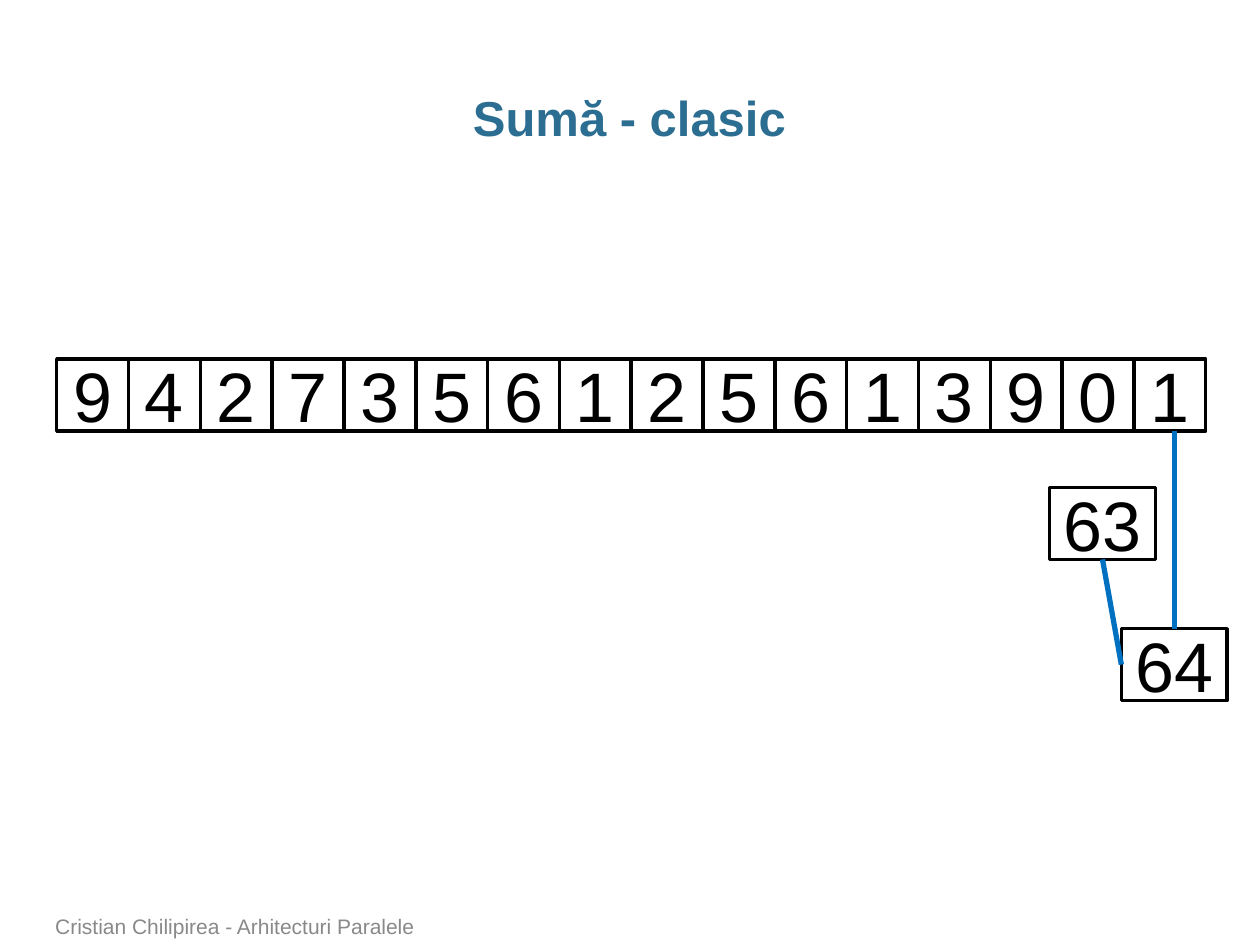
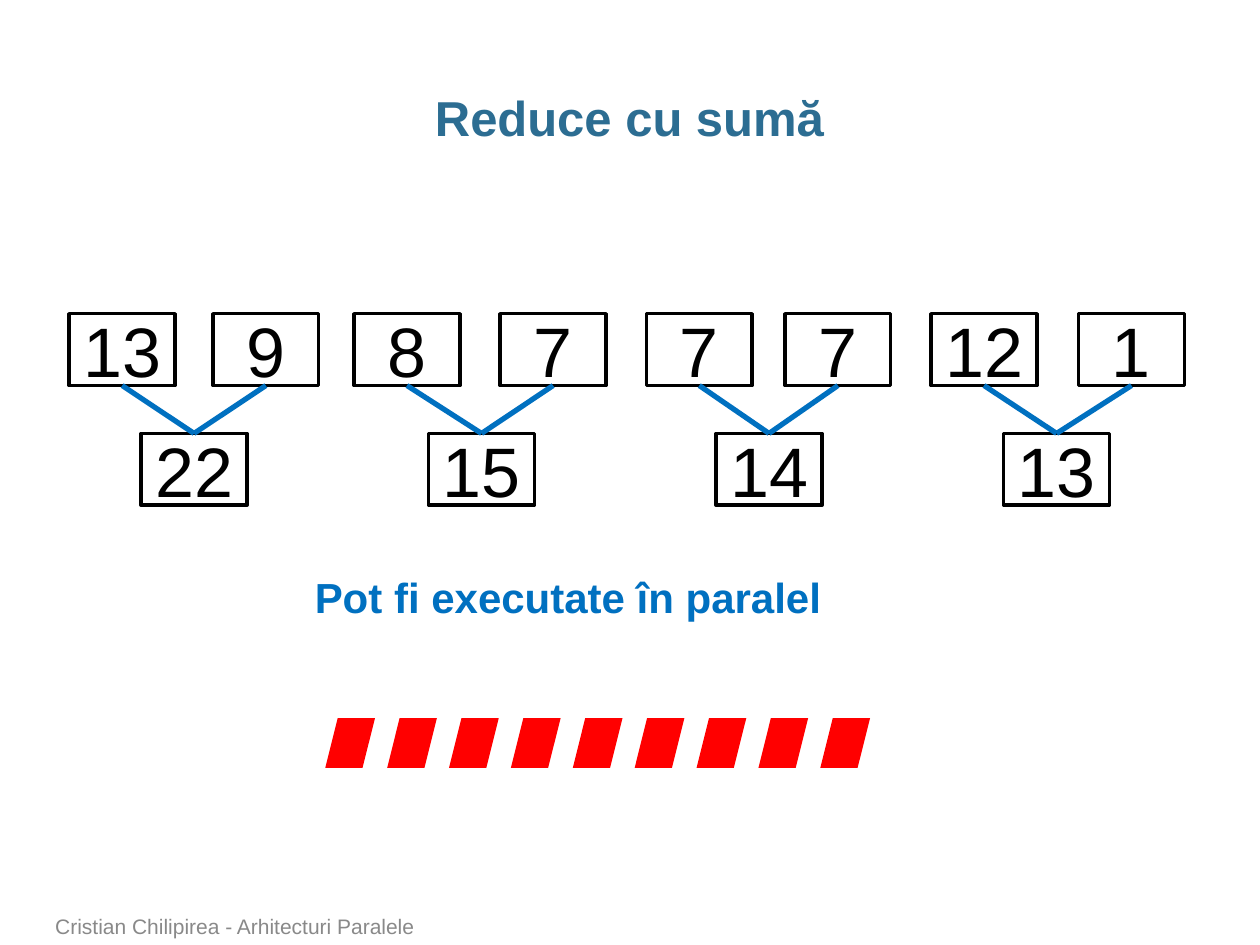
from pptx import Presentation
from pptx.dml.color import RGBColor
from pptx.enum.shapes import MSO_CONNECTOR, MSO_SHAPE
from pptx.enum.text import MSO_ANCHOR, MSO_AUTO_SIZE, PP_ALIGN
from pptx.oxml.ns import qn
from pptx.util import Pt
from lxml import etree

RECT, SLANT = MSO_SHAPE.RECTANGLE, MSO_SHAPE.PARALLELOGRAM
LINE = MSO_CONNECTOR.STRAIGHT
TOP, MID, LOW = MSO_ANCHOR.TOP, MSO_ANCHOR.MIDDLE, MSO_ANCHOR.BOTTOM
CENTER = PP_ALIGN.CENTER
FIXED = MSO_AUTO_SIZE.NONE

BLACK = RGBColor(0x00, 0x00, 0x00)
TEAL = RGBColor(0x2C, 0x6D, 0x92)
BLUE = RGBColor(0x00, 0x70, 0xC0)
GRAY = RGBColor(0x89, 0x89, 0x89)
RED = RGBColor(0xFF, 0x00, 0x00)

FONT = "Arial"
SIDE = 41.04
WIDE = 60.48


def add_box(slide, left, top, width, text):
    box = slide.shapes.add_shape(RECT, Pt(left), Pt(top), Pt(width), Pt(SIDE))
    box.shadow.inherit = False
    box.fill.background()
    box.line.color.rgb = BLACK
    box.line.width = Pt(2)
    frame = box.text_frame
    frame.vertical_anchor = MID
    par = frame.paragraphs[0]
    par.text = text
    par.alignment = CENTER
    par.font.name = FONT
    par.font.size = Pt(40)
    par.font.color.rgb = BLACK
    return box


def add_link(slide, start, end, side, x=0, y=0):
    link = slide.shapes.add_connector(LINE, Pt(x), Pt(y), Pt(x), Pt(y))
    if start is not None:
        link.begin_connect(start, 2)
    link.end_connect(end, side)
    link.line.color.rgb = BLUE
    link.line.width = Pt(3)
    etree.SubElement(link._element.spPr, qn("a:effectLst"))


deck = Presentation()
deck.slide_width, deck.slide_height = Pt(720), Pt(540)

slides = []
for name in ("Sumă - clasic", "Reduce cu sumă"):
    slide = deck.slides.add_slide(deck.slide_layouts[5])
    slides.append(slide)
    title = slide.shapes.title
    title.left, title.top = Pt(24.5), Pt(49)
    title.width, title.height = Pt(670.3), Pt(36)
    frame = title.text_frame
    frame.auto_size = FIXED
    frame.vertical_anchor = TOP
    frame.margin_left = frame.margin_right = 0
    frame.margin_top = frame.margin_bottom = Pt(3.6)
    par = frame.paragraphs[0]
    par.text = name
    par.alignment = CENTER
    par.line_spacing = 0.95
    par.font.name = FONT
    par.font.size = Pt(28)
    par.font.bold = True
    par.font.color.rgb = TEAL
classic, reduce = slides

for col, digit in enumerate("9427356125613901"):
    add_box(classic, 32.4 + col * SIDE, 205.2, SIDE, digit)
prior = add_box(classic, 599.76, 278.64, WIDE, "63")
total = add_box(classic, 640.8, 359.28, WIDE, "64")
add_link(classic, None, total, 0, 671.04, 246.24)
add_link(classic, prior, total, 1)

terms = [(39.6, "13"), (121.68, "9"), (202.32, "8"), (285.84, "7"),
         (369.36, "7"), (448.56, "7"), (532.08, "12"), (616.32, "1")]
boxes = [add_box(reduce, left, 179.28, WIDE, text) for left, text in terms]
for pair, text in enumerate(("22", "15", "14", "13")):
    sum_box = add_box(reduce, 80.64 + pair * 164.3, 247.68, WIDE, text)
    for term in boxes[2 * pair:2 * pair + 2]:
        add_link(reduce, term, sum_box, 0)

for col in range(9):
    mark = reduce.shapes.add_shape(
        SLANT, Pt(185.9 + col * 35.36), Pt(410.4), Pt(28.4), Pt(28.4))
    mark.shadow.inherit = False
    mark.fill.solid()
    mark.fill.fore_color.rgb = RED
    mark.line.fill.background()

foot = ((24.5, 519.84, 530.6, 20.16),
        "Cristian Chilipirea - Arhitecturi Paralele", 12, GRAY, None, LOW, True)
note = ((172.8, 323.3, 306.7, 36),
        "Pot fi executate în paralel", 24, BLUE, True, TOP, False)
for slide, item in ((classic, foot), (reduce, note), (reduce, foot)):
    place, text, size, color, bold, anchor, wrap = item
    frame = slide.shapes.add_textbox(*map(Pt, place)).text_frame
    frame.word_wrap = wrap
    frame.vertical_anchor = anchor
    par = frame.paragraphs[0]
    par.text = text
    par.font.name = FONT
    par.font.size = Pt(size)
    par.font.bold = bold
    par.font.color.rgb = color

deck.save("out.pptx")
